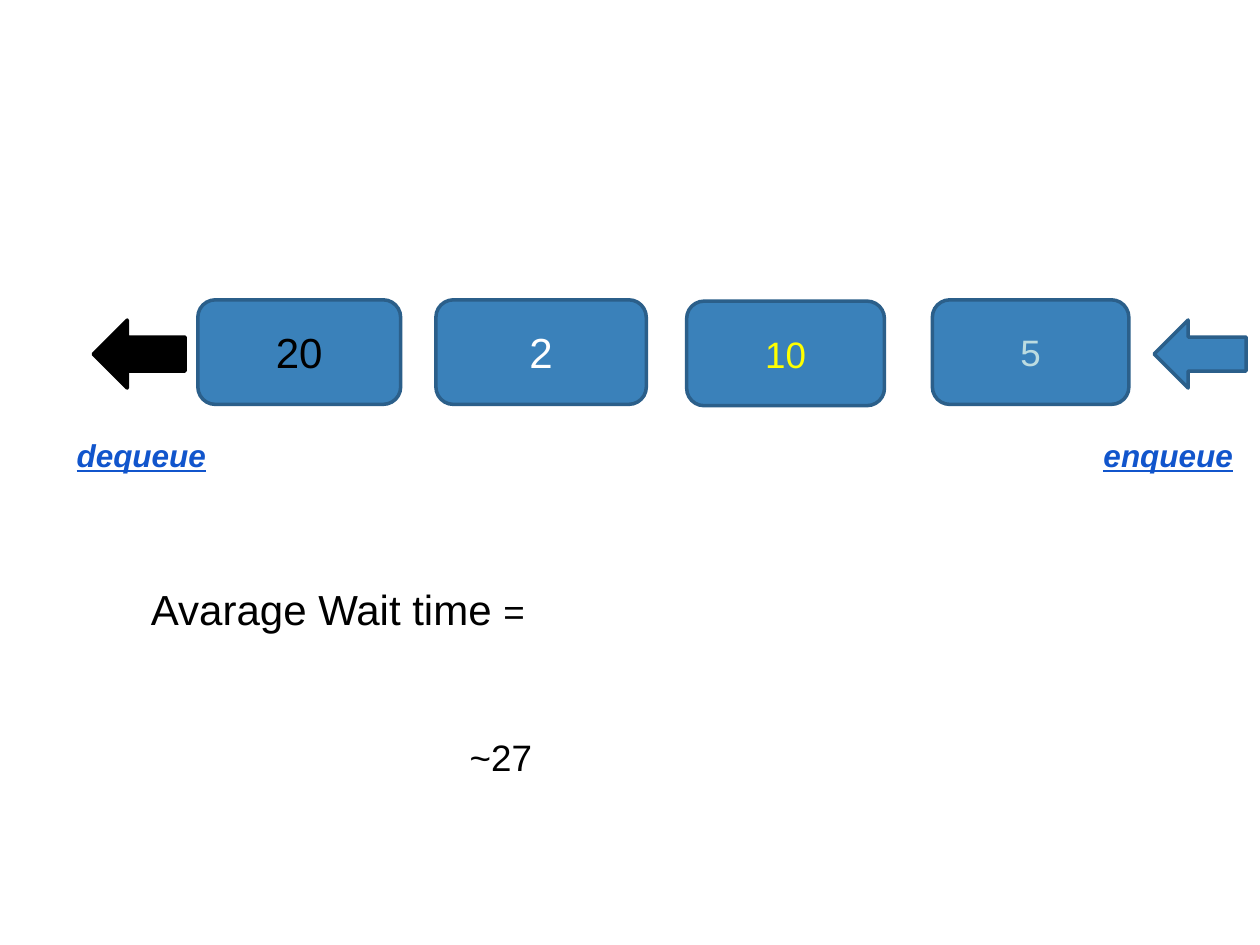
"""Build a slide of a queue with its average wait time."""
from dataclasses import dataclass

from pptx import Presentation
from pptx.dml.color import RGBColor
from pptx.enum.shapes import MSO_SHAPE
from pptx.enum.text import MSO_ANCHOR, PP_ALIGN
from pptx.util import Inches, Pt


@dataclass(frozen=True)
class Theme:
    font: str = "Arial"
    blue: str = "3A81BA"
    edge: str = "2B5F8A"
    link: str = "1155CC"
    black: str = "000000"
    white: str = "FFFFFF"
    yellow: str = "FFFF00"
    pale: str = "BCDCE1"
    large: int = 24
    mid: int = 21
    small: int = 18
    line: int = 2


THEME = Theme()


def style(font, size, color):
    font.name = THEME.font
    font.size = Pt(size)
    font.color.rgb = RGBColor.from_string(color)


def add_form(slide, kind, box, fill, edge):
    form = slide.shapes.add_shape(kind, *map(Inches, box))
    form.shadow.inherit = False
    form.fill.solid()
    form.fill.fore_color.rgb = RGBColor.from_string(fill)
    form.line.color.rgb = RGBColor.from_string(edge)
    form.line.width = Pt(THEME.line)
    return form


def add_item(slide, box, text, size, color):
    item = add_form(slide, MSO_SHAPE.ROUNDED_RECTANGLE, box, THEME.blue, THEME.edge)
    frame = item.text_frame
    frame.vertical_anchor = MSO_ANCHOR.MIDDLE
    frame.margin_left = frame.margin_right = Inches(0.07)
    frame.margin_top = frame.margin_bottom = Inches(0.04)
    line = frame.paragraphs[0]
    line.text = text
    line.alignment = PP_ALIGN.CENTER
    style(line.font, size, color)


def add_arrow(slide, left, fill, edge):
    add_form(slide, MSO_SHAPE.LEFT_ARROW, (left, 2.54, 0.73, 0.54), fill, edge)


def add_text(slide, box, text, size, color):
    frame = slide.shapes.add_textbox(*map(Inches, box)).text_frame
    frame.word_wrap = True
    line = frame.paragraphs[0]
    line.text = text
    style(line.font, size, color)
    return line


def add_label(slide, left, width, text):
    line = add_text(slide, (left, 3.41, width, 0.4), text, THEME.small, THEME.link)
    line.font.bold = line.font.italic = line.font.underline = True


def main():
    deck = Presentation()
    deck.slide_width, deck.slide_height = Inches(10), Inches(7.5)
    slide = deck.slides.add_slide(deck.slide_layouts[6])

    queue = [
        (1.57, 2.38, 1.61, "20", THEME.large, THEME.black),
        (3.46, 2.38, 1.67, "2", THEME.large, THEME.white),
        (5.45, 2.39, 1.57, "10", THEME.mid, THEME.yellow),
        (7.4, 2.38, 1.56, "5", THEME.mid, THEME.pale),
    ]
    for left, top, width, text, size, color in queue:
        add_item(slide, (left, top, width, 0.83), text, size, color)

    add_arrow(slide, 0.74, THEME.black, THEME.black)
    add_arrow(slide, 9.16, THEME.blue, THEME.edge)
    add_label(slide, 0.51, 1.93, "dequeue")
    add_label(slide, 8.66, 1.73, "enqueue")

    wait = add_text(slide, (1.1, 4.58, 3.2, 0.5), "Avarage Wait time ",
                    THEME.large, THEME.black)
    sign = wait.add_run()
    sign.text = "="
    sign.font.size = Pt(THEME.mid)
    add_text(slide, (3.63, 5.78, 3.3, 0.45), "~27", THEME.mid, THEME.black)
    deck.save("out.pptx")


if __name__ == "__main__":
    main()
